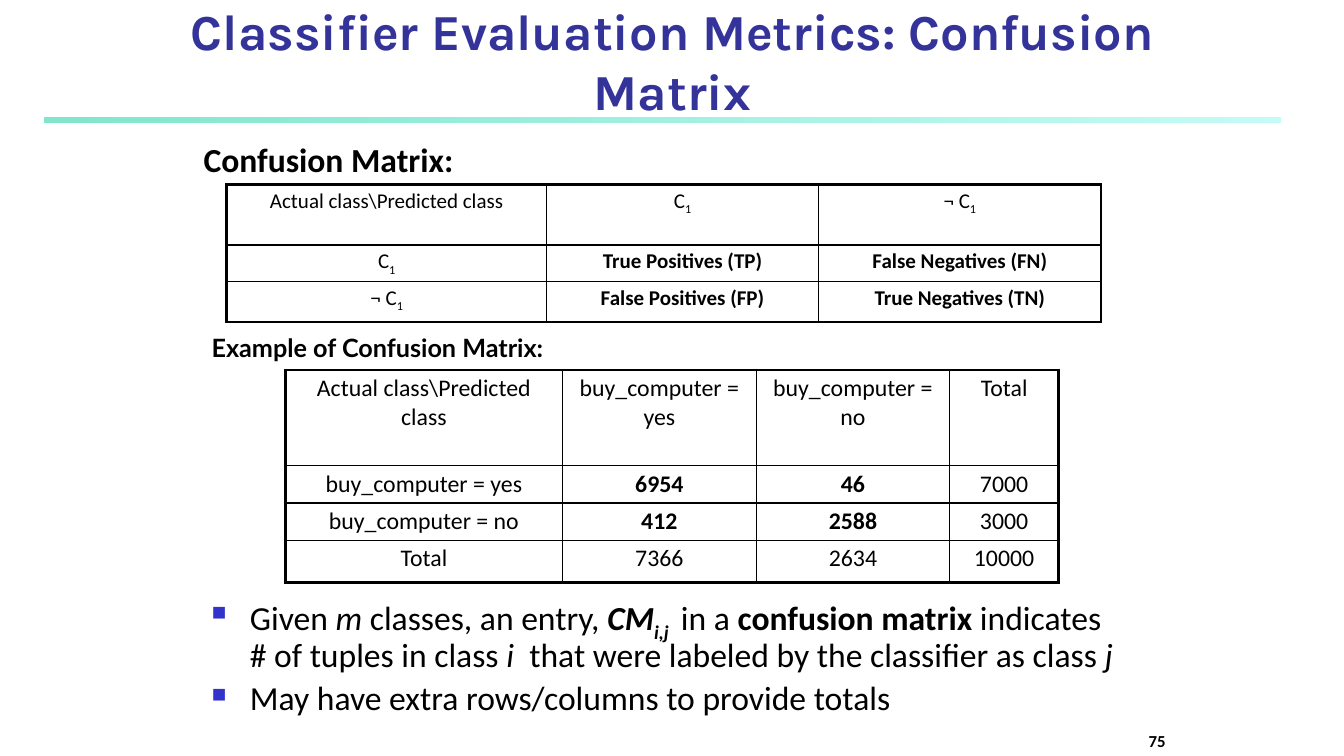
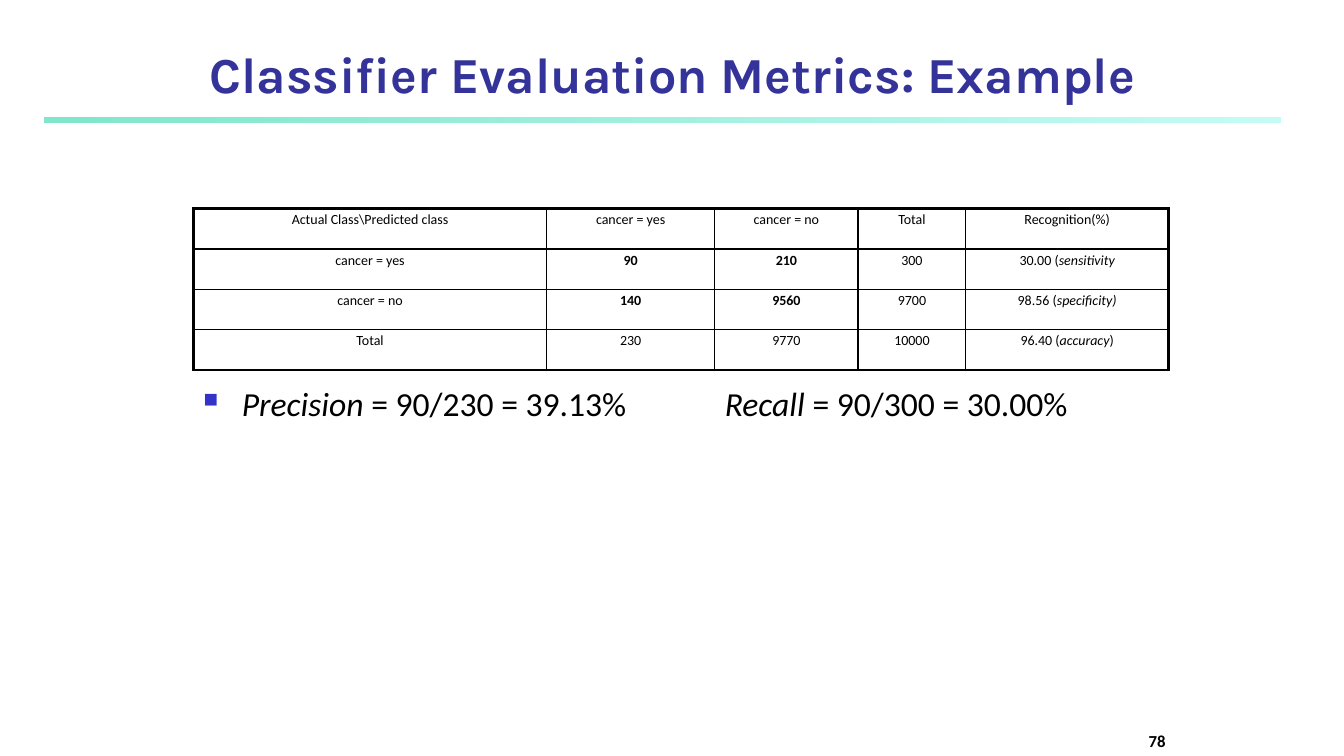
from dataclasses import dataclass

from lxml import etree
from pptx import Presentation
from pptx.dml.color import RGBColor
from pptx.enum.shapes import MSO_SHAPE
from pptx.enum.text import MSO_ANCHOR, PP_ALIGN
from pptx.oxml.ns import qn
from pptx.util import Inches, Pt

RECT = MSO_SHAPE.RECTANGLE
LEFT, CENTER, RIGHT = PP_ALIGN.LEFT, PP_ALIGN.CENTER, PP_ALIGN.RIGHT
TOP, BOTTOM = MSO_ANCHOR.TOP, MSO_ANCHOR.BOTTOM

# Shared look
INK, NAVY, BLUE = "000000", "333399", "3333CC"
BAND = (("00CE98", 50), ("8FF9EF", 52))  # colour, opacity in percent
THICK, THIN = 2.25, 1


@dataclass(frozen=True)
class Run:
    text: str
    mark: str = ""  # b bold, i italic, _ subscript


@dataclass(frozen=True)
class Font:
    size: float
    name: str = "Calibri"
    color: str = INK


@dataclass(frozen=True)
class Box:
    left: float
    top: float
    width: float
    height: float

    def place(self) -> tuple:
        return tuple(Inches(n) for n in (self.left, self.top, self.width, self.height))


@dataclass(frozen=True)
class Grid:
    box: Box
    size: float
    inset: float
    cols: tuple
    rows: tuple
    cells: tuple


BODY = Font(24)


def rgb(code: str) -> RGBColor:
    return RGBColor.from_string(code)


def sub(node, tag: str, **attrs):
    return etree.SubElement(node, qn(tag), **attrs)


# Text
def bold(text: str) -> tuple:
    return (Run(text, "b"),)


def fill_para(para, runs, font: Font, align=LEFT) -> None:
    """Write runs into one paragraph; a plain string is a single run."""
    para.alignment = align
    for item in (Run(runs),) if isinstance(runs, str) else runs:
        run = para.add_run()
        run.text = item.text
        run.font.name = font.name
        run.font.size = Pt(font.size)
        run.font.color.rgb = rgb(font.color)
        run.font.bold = "b" in item.mark
        run.font.italic = "i" in item.mark
        if "_" in item.mark:
            run.font._element.set("baseline", "-25000")


def add_text(slide, box: Box, runs, font: Font, align=LEFT, anchor=TOP, wrap=True):
    frame = slide.shapes.add_textbox(*box.place()).text_frame
    frame.word_wrap = wrap
    frame.vertical_anchor = anchor
    fill_para(frame.paragraphs[0], runs, font, align)
    return frame


def add_list(slide, box: Box, items: tuple, space: float = 1.0) -> None:
    frame = add_text(slide, box, items[0], BODY)
    for runs in items[1:]:
        fill_para(frame.add_paragraph(), runs, BODY)
    for para in frame.paragraphs:
        para.line_spacing = space
        para.space_before = Pt(BODY.size * 0.2)
        props = para._p.get_or_add_pPr()
        props.set("marL", str(Inches(0.38)))
        props.set("indent", str(-Inches(0.38)))
        sub(sub(props, "a:buClr"), "a:srgbClr", val=BLUE)
        sub(props, "a:buSzPct", val="60000")
        sub(props, "a:buChar", char="■")


# Tables
def set_edges(cell, widths: dict) -> None:
    props = cell._tc.get_or_add_tcPr()
    for side, width in widths.items():
        line = sub(props, f"a:ln{side}", w=str(Pt(width)))
        sub(sub(line, "a:solidFill"), "a:srgbClr", val=INK)


def add_grid(slide, grid: Grid) -> None:
    rows, cols = len(grid.rows), len(grid.cols)
    table = slide.shapes.add_table(rows, cols, *grid.box.place()).table
    table.first_row = table.horz_banding = False
    for col, width in zip(table.columns, grid.cols):
        col.width = Inches(width)
    for row, height in zip(table.rows, grid.rows):
        row.height = Inches(height)
    for r, line in enumerate(grid.cells):
        for c, runs in enumerate(line):
            cell = table.cell(r, c)
            cell.margin_left = cell.margin_right = Inches(0.1)
            cell.margin_top = cell.margin_bottom = Inches(grid.inset)
            rim = {"L": c == 0, "R": c == cols - 1, "T": r == 0, "B": r == rows - 1}
            set_edges(cell, {side: THICK if out else THIN for side, out in rim.items()})
            cell.fill.background()
            fill_para(cell.text_frame.paragraphs[0], runs, Font(grid.size), CENTER)


# Frame of every slide: band, title, number
def add_slide(prs, title: str, box: Box, number: str):
    slide = prs.slides.add_slide(prs.slide_layouts[6])
    band = slide.shapes.add_shape(RECT, *Box(0.44, 1.17, 12.26, 0.05).place())
    band.shadow.inherit = False
    band.line.fill.background()
    band.fill.gradient()
    band.fill.gradient_angle = 0
    for stop, (color, _) in zip(band.fill.gradient_stops, BAND):
        stop.color.rgb = rgb(color)
    shades = band.element.spPr.find(qn("a:gradFill")).iter(qn("a:srgbClr"))
    for shade, (_, alpha) in zip(list(shades), BAND):
        sub(shade, "a:alpha", val=str(alpha * 1000))
    add_text(slide, box, bold(title), Font(36, "Karla", NAVY), CENTER, BOTTOM)
    add_text(slide, Box(9.58, 7.08, 2.08, 0.42), bold(number), Font(12), RIGHT, BOTTOM)
    return slide


# Contents
YES = (Run("C"), Run("1", "_"))
NOT = (Run("¬ C"), Run("1", "_"))

TERMS = Grid(
    Box(2.25, 1.83, 8.67, 1.36), 15, 0.04, (3.17, 2.7, 2.8), (0.6, 0.36, 0.4),
    (
        ("Actual class\\Predicted class", YES, NOT),
        (YES, bold("True Positives (TP)"), bold("False Negatives (FN)")),
        (NOT, bold("False Positives (FP)"), bold("True Negatives (TN)")),
    ),
)
SALES = Grid(
    Box(2.83, 3.67, 7.67, 2.11), 17, 0.04,
    (2.75, 1.92, 1.92, 1.08), (0.95, 0.37, 0.37, 0.42),
    (
        ("Actual class\\Predicted class", "buy_computer = yes", "buy_computer = no", "Total"),
        ("buy_computer = yes", bold("6954"), bold("46"), "7000"),
        ("buy_computer = no", bold("412"), bold("2588"), "3000"),
        ("Total", "7366", "2634", "10000"),
    ),
)
CANCER = Grid(
    Box(1.92, 2.07, 9.67, 1.6), 10, 0.03,
    (3.5, 1.67, 1.42, 1.07, 2.01), (0.4,) * 4,
    (
        ("Actual Class\\Predicted class", "cancer = yes", "cancer = no", "Total",
         "Recognition(%)"),
        ("cancer = yes", bold("90"), bold("210"), "300",
         (Run("30.00 ("), Run("sensitivity", "i"))),
        ("cancer = no", bold("140"), bold("9560"), "9700",
         (Run("98.56 ("), Run("specificity)", "i"))),
        ("Total", "230", "9770", "10000",
         (Run("96.40 ("), Run("accuracy", "i"), Run(")"))),
    ),
)
NOTES = (
    (
        Run("Given"), Run(" m", "i"), Run(" classes, an entry, "),
        Run("CM", "bi"), Run("i,j ", "bi_"), Run(" in a "),
        Run("confusion matrix", "b"), Run(" indicates # of tuples in class "),
        Run("i ", "i"), Run(" that were labeled by the classifier as class "),
        Run("j", "i"),
    ),
    "May have extra rows/columns to provide totals",
)
PREC = (Run("Precision", "i"), Run(" = 90/230 = 39.13%"))
RECALL = (Run("Recall", "i"), Run(" = 90/300 = 30.00%"))


def main() -> None:
    prs = Presentation()
    prs.slide_width, prs.slide_height = Inches(13.33), Inches(7.5)

    # Confusion matrix
    slide = add_slide(prs, "Classifier Evaluation Metrics: Confusion Matrix",
                      Box(1.67, 0, 10, 1.25), "75")
    add_text(slide, Box(1.92, 1.33, 2.85, 0.5), bold("Confusion Matrix:"), BODY)
    add_grid(slide, TERMS)
    add_text(slide, Box(2, 3.25, 3.9, 0.4), bold("Example of Confusion Matrix:"),
             Font(18, "Lato"), wrap=False)
    add_grid(slide, SALES)
    add_list(slide, Box(2, 5.88, 9.25, 1.38), NOTES, 0.9)

    # Worked example
    slide = add_slide(prs, "Classifier Evaluation Metrics: Example",
                      Box(1.67, 0.25, 10, 0.83), "78")
    add_grid(slide, CANCER)
    add_list(slide, Box(1.92, 3.75, 5, 0.67), (PREC,))
    add_text(slide, Box(7.09, 3.75, 4.08, 0.67), RECALL, BODY)

    prs.save("out.pptx")


if __name__ == "__main__":
    main()
